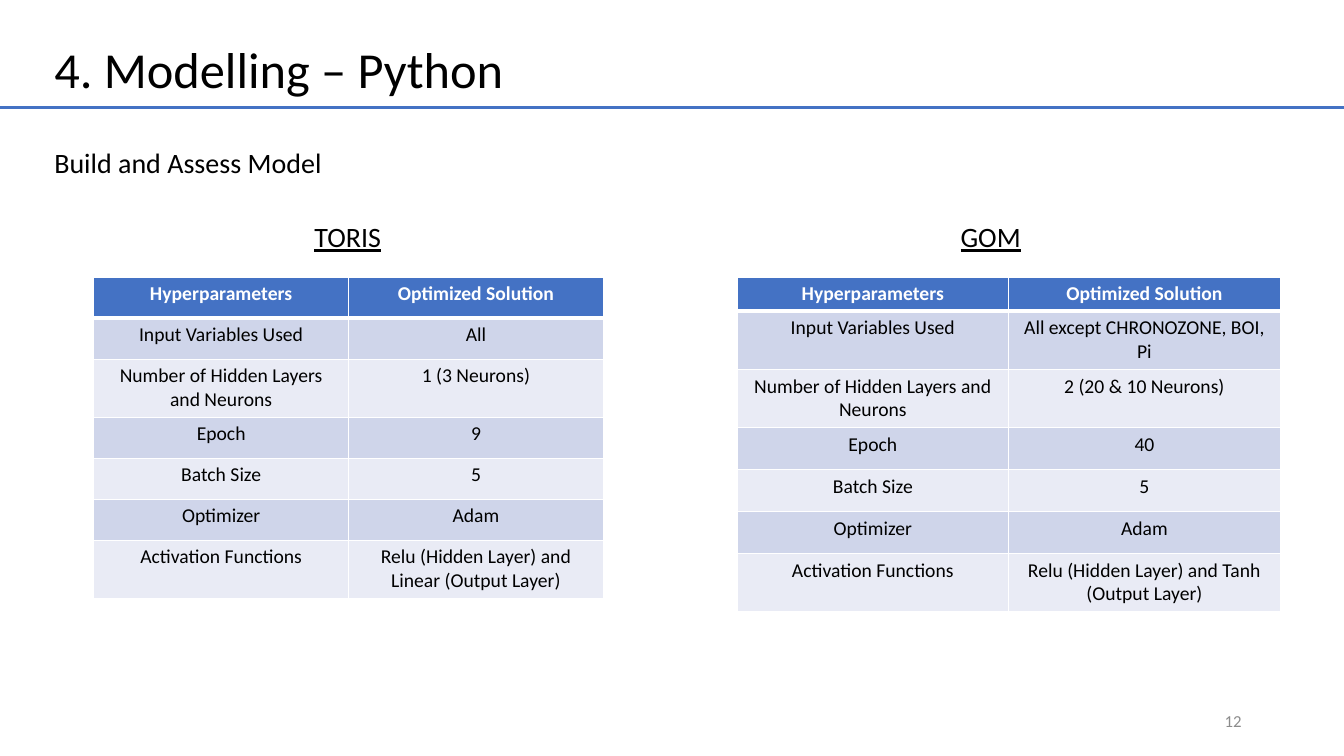
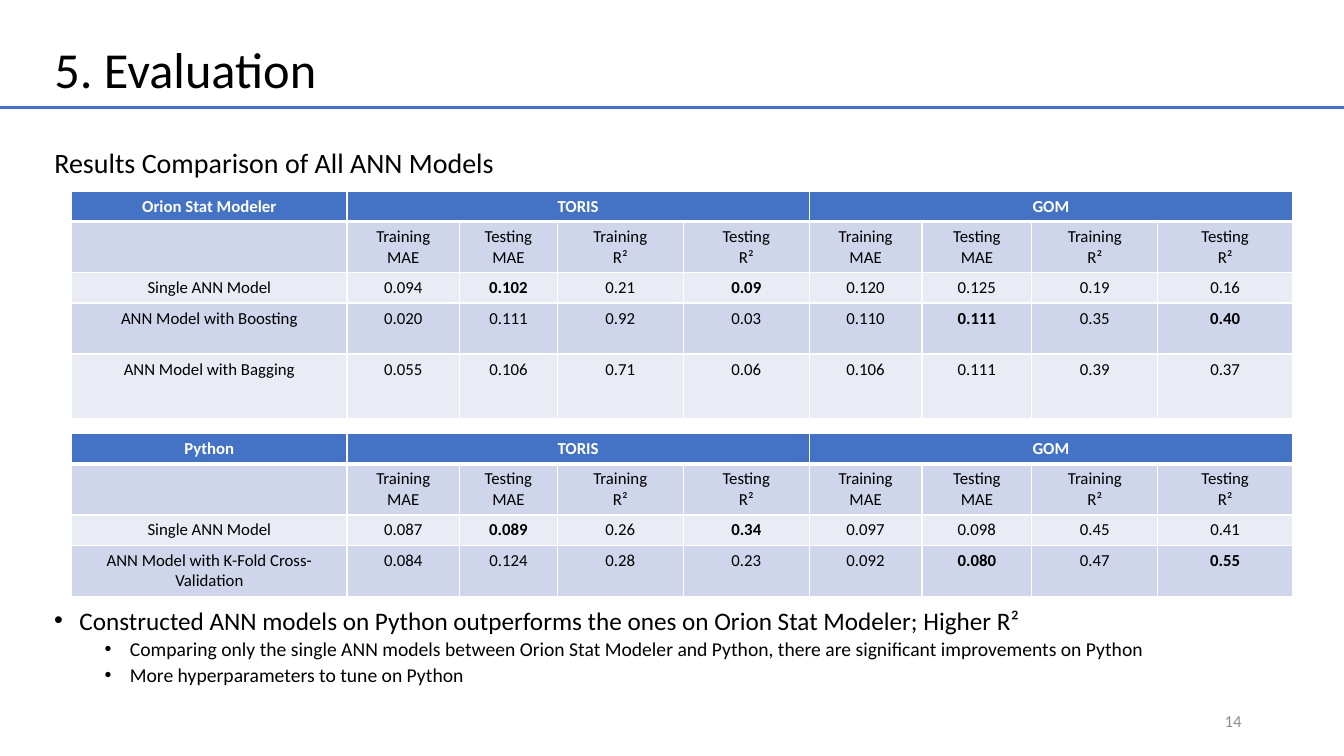
import dataclasses

import pptx
import pptx.dml.color
import pptx.enum.shapes
import pptx.enum.text
import pptx.oxml.ns
import pptx.util
from lxml import etree

Pt = pptx.util.Pt
ALIGN = pptx.enum.text.PP_ALIGN
ANCHOR = pptx.enum.text.MSO_ANCHOR


@dataclasses.dataclass(frozen=True)
class Theme:
    font: str = "Calibri"
    accent: str = "4472C4"
    band_dark: str = "CFD5EA"
    band_light: str = "E9EBF5"
    text: str = "000000"
    white: str = "FFFFFF"
    muted: str = "8C8C8C"
    title_size: int = 36
    subtitle_size: int = 20
    bullet_size: int = 18
    body_size: int = 14
    small_size: int = 12
    line_spacing: float = 0.9


THEME = Theme()
SLIDE_WIDTH, SLIDE_HEIGHT = 960, 540
MARGIN = 31.7
RESULT_COLUMNS = [196.5, 80.5, 69.8, 90, 90, 80.5, 78.5, 90, 96.2]
MEASURES = ["Training\nMAE", "Testing\nMAE", "Training\nR²", "Testing\nR²"]


def rgb(color):
    return pptx.dml.color.RGBColor.from_string(color)


def add_element(parent, tag, **attributes):
    return etree.SubElement(parent, pptx.oxml.ns.qn(tag), attributes)


def format_paragraph(paragraph, size, color=THEME.text, bold=False, underline=False):
    for run in paragraph.runs:
        run.font.name = THEME.font
        run.font.size = Pt(size)
        run.font.bold = bold
        run.font.underline = underline
        run.font.color.rgb = rgb(color)


def add_text(slide, box, text, size, color=THEME.text, underline=False,
             align=ALIGN.LEFT, anchor=ANCHOR.TOP, spacing=THEME.line_spacing):
    text_frame = slide.shapes.add_textbox(*map(Pt, box)).text_frame
    text_frame.word_wrap = True
    text_frame.vertical_anchor = anchor
    text_frame.text = text
    paragraph = text_frame.paragraphs[0]
    paragraph.alignment = align
    paragraph.line_spacing = spacing
    format_paragraph(paragraph, size, color, underline=underline)


def add_framed_slide(presentation, title, subtitle, number):
    """Add a slide with the shared title, rule, subtitle and page number."""
    slide = presentation.slides.add_slide(presentation.slide_layouts[6])
    add_text(slide, (MARGIN, 6.5, 910, 90), title, THEME.title_size, anchor=ANCHOR.MIDDLE)
    add_text(slide, (MARGIN, 103, 469, 44), subtitle, THEME.subtitle_size)
    rule = slide.shapes.add_connector(
        pptx.enum.shapes.MSO_CONNECTOR.STRAIGHT, Pt(0), Pt(77), Pt(SLIDE_WIDTH), Pt(77))
    rule.line.color.rgb = rgb(THEME.accent)
    rule.line.width = Pt(2.25)
    add_element(rule.element.spPr, "a:effectLst")
    add_text(slide, (678, 500.5, 216, 29), str(number), THEME.small_size, THEME.muted,
             align=ALIGN.RIGHT, anchor=ANCHOR.MIDDLE, spacing=1.0)
    return slide


def add_cell_borders(cell, bottom_width):
    properties = cell._tc.get_or_add_tcPr()
    for tag, width in (("a:lnL", 1), ("a:lnR", 1), ("a:lnT", 1), ("a:lnB", bottom_width)):
        line = add_element(properties, tag, w=str(Pt(width)))
        add_element(add_element(line, "a:solidFill"), "a:srgbClr", val=THEME.white)


def format_cell(cell, text, size, row, bold):
    is_header = row == 0
    add_cell_borders(cell, 3 if is_header else 1)
    band = THEME.band_dark if row % 2 else THEME.band_light
    cell.fill.solid()
    cell.fill.fore_color.rgb = rgb(THEME.accent if is_header else band)
    cell.text_frame.text = text
    for paragraph in cell.text_frame.paragraphs:
        paragraph.alignment = ALIGN.CENTER
        format_paragraph(paragraph, size, THEME.white if is_header else THEME.text,
                         bold or is_header)


def add_banded_table(slide, left, top, column_widths, row_heights, rows, size, bold_cells=()):
    table = slide.shapes.add_table(
        len(rows), len(column_widths), Pt(left), Pt(top),
        Pt(sum(column_widths)), Pt(sum(row_heights))).table
    for column, width in zip(table.columns, column_widths):
        column.width = Pt(width)
    for row, height in zip(table.rows, row_heights):
        row.height = Pt(height)
    for r, texts in enumerate(rows):
        for c, text in enumerate(texts):
            format_cell(table.cell(r, c), text, size, r, (r, c) in bold_cells)
    return table


def add_hyperparameter_panel(slide, box, heading, heading_offset, solutions, row_heights):
    """Place an underlined heading and its two-column table in a left, top, width box."""
    left, top, width = box
    add_text(slide, (left + heading_offset, top, 68, 44), heading,
             THEME.subtitle_size, underline=True)
    names = ["Input Variables Used", "Number of Hidden Layers and Neurons", "Epoch",
             "Batch Size", "Optimizer", "Activation Functions"]
    rows = [("Hyperparameters", "Optimized Solution"), *zip(names, solutions)]
    add_banded_table(slide, left, top + 42, [width / 2] * 2, row_heights, rows,
                     THEME.body_size)


def add_results_table(slide, left, top, tool, results, row_heights, best):
    """Place one tool's scores, with the cells listed in best in bold."""
    rows = [[tool, "TORIS", "", "", "", "GOM", "", "", ""], ["", *MEASURES, *MEASURES]]
    rows += [[model, *scores.split()] for model, scores in results]
    table = add_banded_table(slide, left, top, RESULT_COLUMNS, row_heights, rows,
                             THEME.small_size, best)
    for first in (1, 5):
        table.cell(0, first).merge(table.cell(0, first + 3))


def add_bullets(slide, box, items):
    """Write (level, text) items as a two-level bullet list."""
    text_frame = slide.shapes.add_textbox(*map(Pt, box)).text_frame
    text_frame.word_wrap = True
    text_frame.text = "\n".join(text for _, text in items)
    for index, (paragraph, (level, _)) in enumerate(zip(text_frame.paragraphs, items)):
        paragraph.level = level
        paragraph.line_spacing = 0.8
        if index:
            paragraph.space_before = Pt(5 if level else 10)
        properties = paragraph._p.get_or_add_pPr()
        properties.set("marL", str(Pt(18 + 36 * level)))
        properties.set("indent", str(Pt(-18)))
        add_element(properties, "a:buFont", typeface="Arial")
        add_element(properties, "a:buChar", char="•")
        format_paragraph(paragraph, THEME.body_size if level else THEME.bullet_size)


def build_modelling_slide(presentation):
    slide = add_framed_slide(presentation, "4. Modelling – Python",
                             "Build and Assess Model", 12)
    add_hyperparameter_panel(
        slide, (67, 156, 364), "TORIS", 150.5,
        ["All", "1 (3 Neurons)", "9", "5", "Adam",
         "Relu (Hidden Layer) and Linear (Output Layer)"],
        [29.3, 29.3, 41.5, 29.3, 29.3, 29.3, 41.5])
    add_hyperparameter_panel(
        slide, (526.5, 156, 388), "GOM", 152.5,
        ["All except CHRONOZONE, BOI, Pi", "2 (20 & 10 Neurons)", "40", "5", "Adam",
         "Relu (Hidden Layer) and Tanh (Output Layer)"],
        [24.3, 41.5, 41.5, 30, 30, 30, 41.5])


def build_evaluation_slide(presentation):
    slide = add_framed_slide(presentation, "5. Evaluation",
                             "Results Comparison of All ANN Models", 14)
    add_results_table(
        slide, 51.3, 136.5, "Orion Stat Modeler",
        [("Single ANN Model", "0.094 0.102 0.21 0.09 0.120 0.125 0.19 0.16"),
         ("ANN Model with Boosting", "0.020 0.111 0.92 0.03 0.110 0.111 0.35 0.40"),
         ("ANN Model with Bagging", "0.055 0.106 0.71 0.06 0.106 0.111 0.39 0.37")],
        [21.8, 36.4, 21.8, 36.4, 46], {(2, 2), (2, 4), (3, 6), (3, 8)})
    add_results_table(
        slide, 51.3, 309.6, "Python",
        [("Single ANN Model", "0.087 0.089 0.26 0.34 0.097 0.098 0.45 0.41"),
         ("ANN Model with K-Fold Cross-Validation",
          "0.084 0.124 0.28 0.23 0.092 0.080 0.47 0.55")],
        [21.8, 36.4, 21.8, 36.4], {(2, 2), (2, 4), (3, 6), (3, 8)})
    add_bullets(slide, (MARGIN, 432.7, 852.5, 64), [
        (0, "Constructed ANN models on Python outperforms the ones on "
            "Orion Stat Modeler; Higher R²"),
        (1, "Comparing only the single ANN models between Orion Stat Modeler and Python, "
            "there are significant improvements on Python"),
        (1, "More hyperparameters to tune on Python")])


def main():
    presentation = pptx.Presentation()
    presentation.slide_width = Pt(SLIDE_WIDTH)
    presentation.slide_height = Pt(SLIDE_HEIGHT)
    build_modelling_slide(presentation)
    build_evaluation_slide(presentation)
    presentation.save("out.pptx")


if __name__ == "__main__":
    main()
